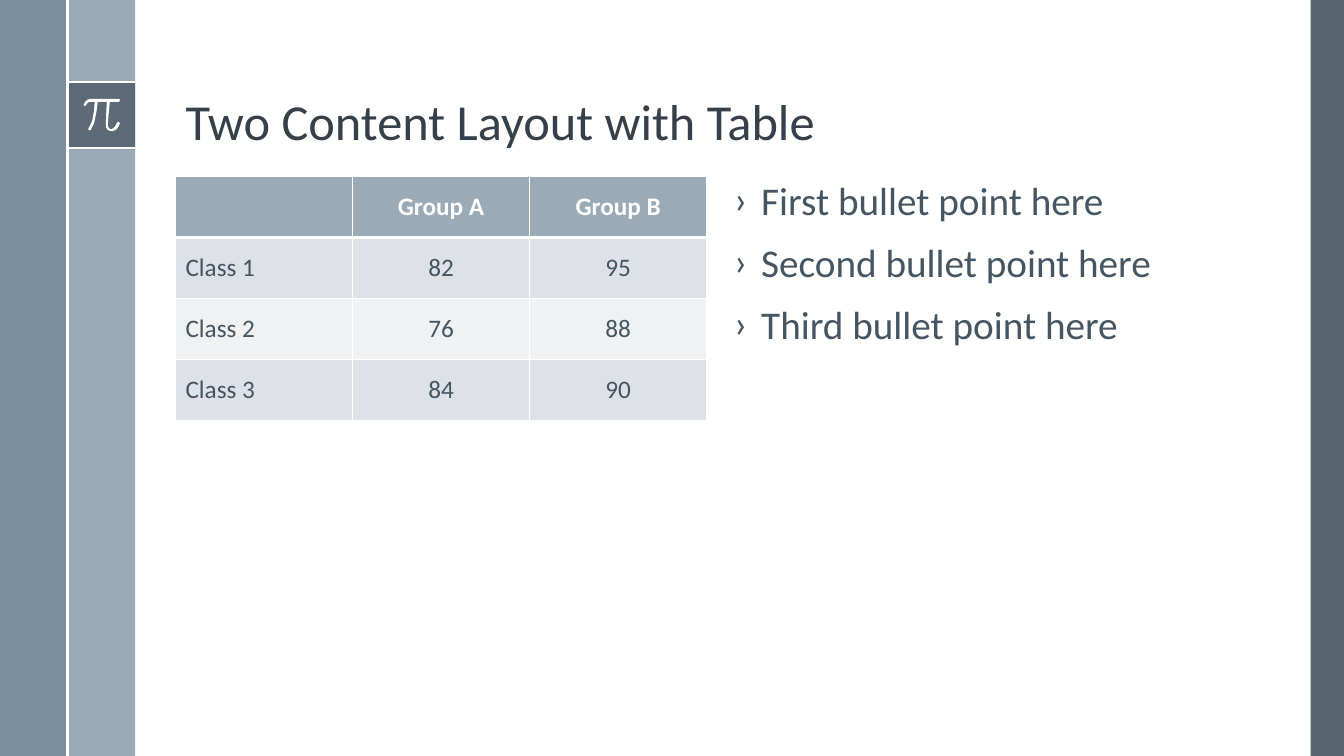
from lxml import etree
from pptx import Presentation
from pptx.dml.color import RGBColor
from pptx.enum.shapes import MSO_CONNECTOR, MSO_SHAPE
from pptx.enum.text import MSO_ANCHOR, MSO_AUTO_SIZE, PP_ALIGN
from pptx.oxml.ns import qn
from pptx.util import Inches, Pt

RECTANGLE = MSO_SHAPE.RECTANGLE
STRAIGHT = MSO_CONNECTOR.STRAIGHT
LEFT, CENTER = PP_ALIGN.LEFT, PP_ALIGN.CENTER
TOP, MIDDLE, BOTTOM = MSO_ANCHOR.TOP, MSO_ANCHOR.MIDDLE, MSO_ANCHOR.BOTTOM

WHITE = RGBColor(0xFF, 0xFF, 0xFF)
SLATE = RGBColor(0x47, 0x55, 0x62)
STEEL = RGBColor(0x6A, 0x80, 0x93)
MIST = RGBColor(0x9B, 0xAA, 0xB7)
TITLE_COLOR = RGBColor(0x35, 0x40, 0x4A)
TEXT_COLOR = RGBColor(0x46, 0x55, 0x62)
ROW_DARK = RGBColor(0xDE, 0xE2, 0xE6)
ROW_LIGHT = RGBColor(0xEF, 0xF1, 0xF3)


def set_font(font, size, color, bold=False):
    for name, value in {"name": "Calibri", "size": Pt(size), "bold": bold}.items():
        setattr(font, name, value)
    font.color.rgb = color


def place(shape, left, top, width, height):
    for name, value in {"left": left, "top": top, "width": width, "height": height}.items():
        setattr(shape, name, Inches(value))


presentation = Presentation()
presentation.slide_width = Inches(13.33)
presentation.slide_height = Inches(7.5)
slide = presentation.slides.add_slide(presentation.slide_layouts[1])
slide.background.fill.solid()
slide.background.fill.fore_color.rgb = WHITE

# Side bands and the square behind the pi sign: box, colour, opacity in percent
bands = [
    ((13, 0, 0.33, 7.5), SLATE, 90),
    ((0.67, 0, 0.67, 7.5), MIST, 100),
    ((0, 0, 0.67, 7.5), STEEL, 88),
    ((0.67, 0.81, 0.67, 0.67), SLATE, 75),
]
for box, color, opacity in bands:
    band = slide.shapes.add_shape(RECTANGLE, *map(Inches, box))
    band.shadow.inherit = False
    band.fill.solid()
    band.fill.fore_color.rgb = color
    band.line.fill.background()
    if opacity < 100:
        solid_color = band.fill._xPr.find(qn("a:solidFill"))[0]
        etree.SubElement(solid_color, qn("a:alpha"), val=str(opacity * 1000))

for ends in [(0.67, 0.81, 1.34, 0.81), (0.67, 1.47, 1.34, 1.47), (0.67, 0, 0.67, 7.5)]:
    rule = slide.shapes.add_connector(STRAIGHT, *map(Inches, ends))
    rule.line.color.rgb = WHITE
    rule.line.width = Pt(1.5)
    etree.SubElement(rule._element.spPr, qn("a:effectLst"))

# Outline of the pi sign, in hundredths of an inch
pi_outline = [
    (118, 98), (90, 98), (87, 98.8), (84.5, 101), (83, 104), (84, 105), (85, 105),
    (86.5, 102.5), (88, 101.4), (90, 101), (94, 101), (93.3, 110), (91.5, 120),
    (88, 127), (87.6, 128.2), (88, 129), (89, 129.4), (90, 129), (93.5, 122),
    (95.7, 111), (97, 101), (106, 101), (105, 122), (105, 126), (107, 129),
    (110, 130), (112, 130), (115.5, 128.5), (118, 125), (119, 122), (118, 121),
    (117, 121), (116, 122), (114, 126), (111, 128), (109.5, 128), (108, 127),
    (107.2, 125), (107, 122), (109, 101), (118, 101), (119, 100), (119, 99),
]
points = [(Inches(x / 100), Inches(y / 100)) for x, y in pi_outline]
builder = slide.shapes.build_freeform(*points[0])
builder.add_line_segments(points[1:], close=True)
pi_sign = builder.convert_to_shape()
pi_sign.shadow.inherit = False
pi_sign.fill.solid()
pi_sign.fill.fore_color.rgb = WHITE
pi_sign.line.fill.background()

title = slide.shapes.title
place(title, 1.74, 0.19, 10.7, 1.36)
title.text_frame.text = "Two Content Layout with Table"
title.text_frame.auto_size = MSO_AUTO_SIZE.NONE
title.text_frame.vertical_anchor = BOTTOM
title_paragraph = title.text_frame.paragraphs[0]
title_paragraph.alignment = LEFT
title_paragraph.line_spacing = 0.9
set_font(title_paragraph.runs[0].font, 36, TITLE_COLOR)

rows = [
    ("", "Group A", "Group B"),
    ("Class 1", "82", "95"),
    ("Class 2", "76", "88"),
    ("Class 3", "84", "90"),
]
table = slide.shapes.add_table(
    4, 3, Inches(1.74), Inches(1.75), Inches(5.27), Inches(2.42)
).table
for row_index, row in enumerate(rows):
    header = row_index == 0
    fill_color = MIST if header else ROW_DARK if row_index % 2 else ROW_LIGHT
    border_widths = {
        "L": 1,
        "R": 1,
        "T": 3 if row_index == 1 else 1,
        "B": 3 if header else 1,
    }
    for column_index, text in enumerate(row):
        cell = table.cell(row_index, column_index)
        properties = cell._tc.get_or_add_tcPr()
        for side, width in border_widths.items():
            border = etree.SubElement(properties, qn(f"a:ln{side}"), w=str(Pt(width)))
            border_fill = etree.SubElement(border, qn("a:solidFill"))
            etree.SubElement(border_fill, qn("a:srgbClr"), val=str(WHITE))
        cell.fill.solid()
        cell.fill.fore_color.rgb = fill_color
        cell.vertical_anchor = MIDDLE
        cell.text = text
        paragraph = cell.text_frame.paragraphs[0]
        paragraph.alignment = CENTER if column_index else LEFT
        set_font(paragraph.font, 18, WHITE if header else TEXT_COLOR, header)
        for run in paragraph.runs:
            set_font(run.font, 18, WHITE if header else TEXT_COLOR, header)

body = slide.placeholders[1]
place(body, 7.18, 1.75, 5.27, 5)
body.text_frame.text = "\n".join(
    f"{ordinal} bullet point here" for ordinal in ("First", "Second", "Third")
)
body.text_frame.auto_size = MSO_AUTO_SIZE.NONE
body.text_frame.vertical_anchor = TOP
for paragraph in body.text_frame.paragraphs:
    paragraph.line_spacing = 0.9
    paragraph.space_before = Pt(14)
    set_font(paragraph.runs[0].font, 28, TEXT_COLOR)
    properties = paragraph._p.get_or_add_pPr()
    properties.set("marL", str(Inches(0.27)))
    properties.set("indent", str(Inches(-0.27)))
    etree.SubElement(properties, qn("a:buFont"), typeface="Calibri")
    etree.SubElement(properties, qn("a:buChar"), char="›")

presentation.save("out.pptx")
